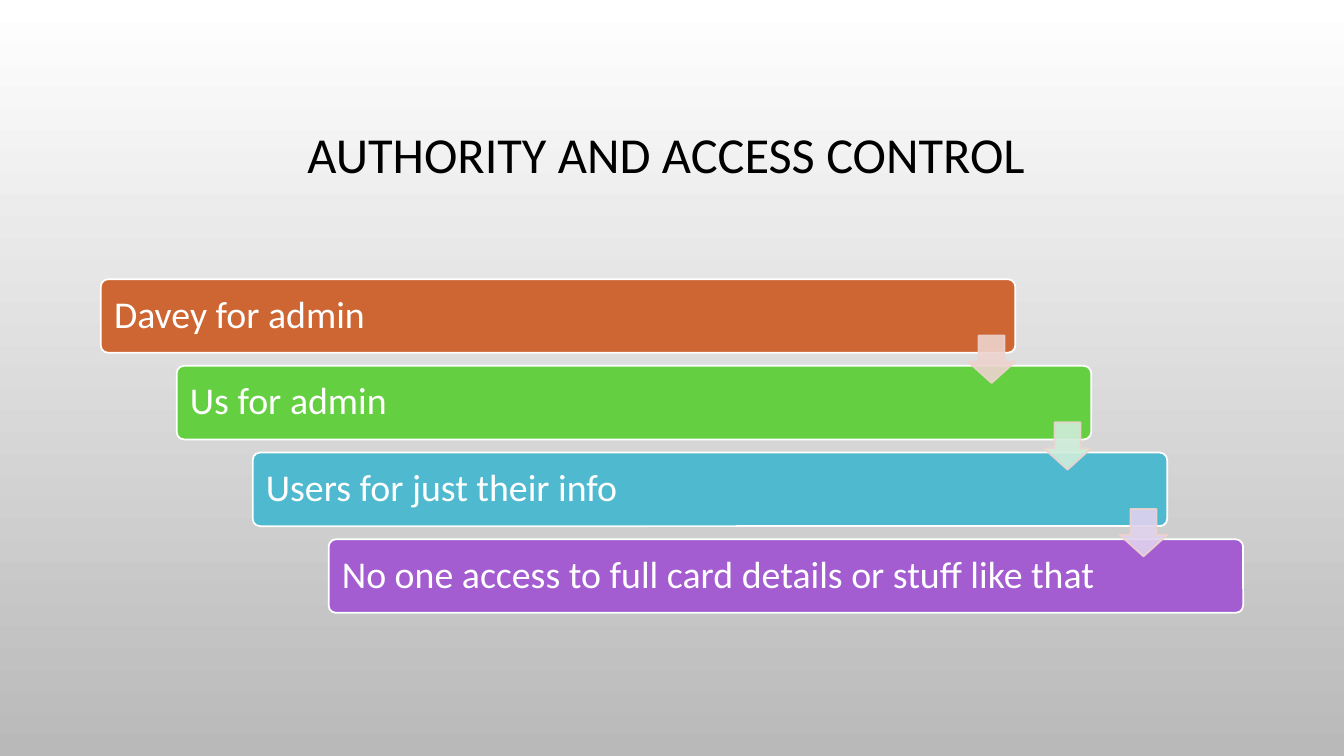
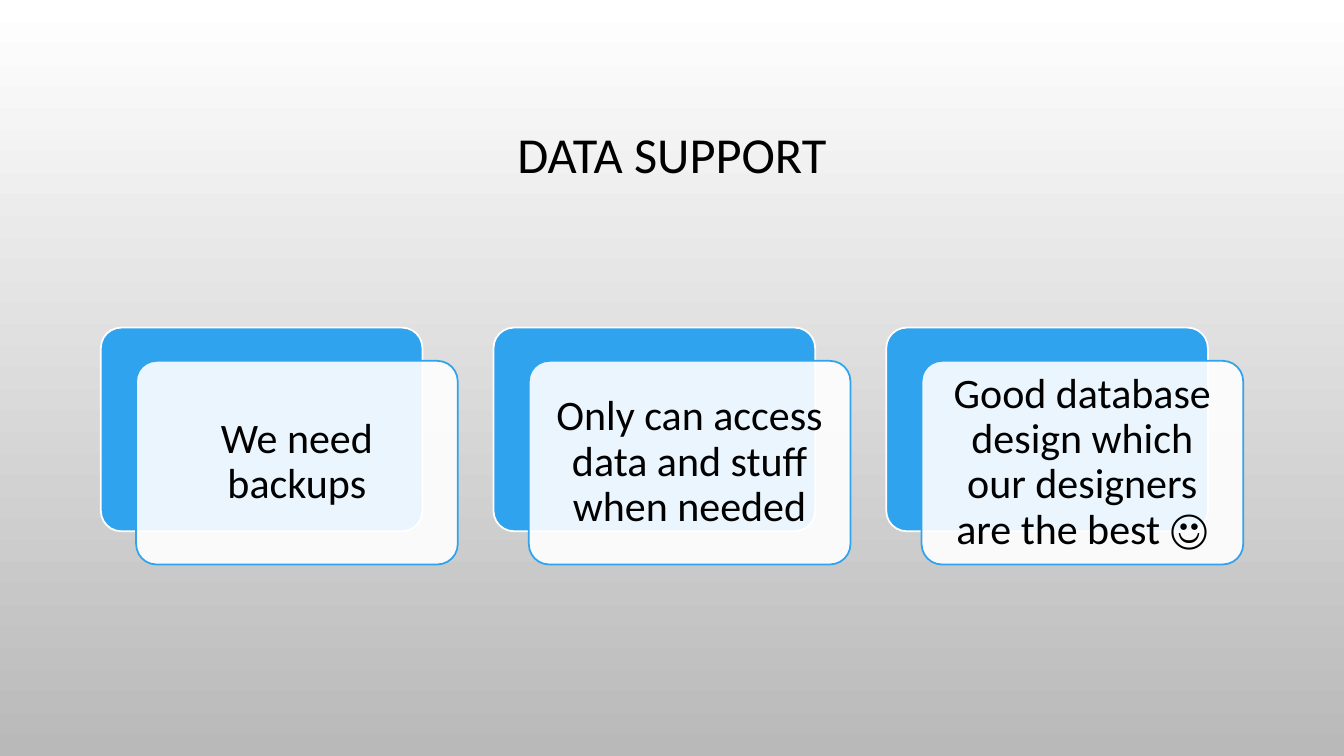
from collections import namedtuple

from lxml.etree import SubElement
from pptx import Presentation
from pptx.dml.color import RGBColor
from pptx.enum.shapes import MSO_SHAPE as Preset
from pptx.enum.text import MSO_ANCHOR as Anchor, PP_ALIGN as Align
from pptx.oxml.ns import qn
from pptx.util import Inches, Pt

Box = namedtuple("Box", "left top width height")

FONT = "Calibri"
COLORS = {
    "white": "FFFFFF", "black": "000000", "gray": "B9B9B9", "blue": "2FA3EE",
    "orange": "CE6633", "green": "64CF41", "teal": "4FB9D0", "purple": "A35DD1",
    "pale_orange": "EDD3CE", "pale_green": "D0EDDA", "pale_purple": "E0D2EE",
}
TITLE_BOX = Box(1, 0.68, 11.33, 1.75)
STAIRS_BOX = Box(1, 2.77, 11.33, 3.31)
CARDS_BOX = Box(1, 3.25, 11.33, 2.35)

STEPS = [
    ("Davey for admin", "orange"),
    ("Us for admin", "green"),
    ("Users for just their info", "teal"),
    ("No one access to full card details or stuff like that", "purple"),
]
ARROW_COLORS = ["pale_orange", "pale_green", "pale_purple"]
CARDS = [
    "We need backups",
    "Only can access data and stuff when needed",
    "Good database design which our designers are the best ☺",
]


def color(name):
    return RGBColor.from_string(COLORS[name])


def set_opacity(fill_parent, percent):
    for tint in fill_parent.iter(qn("a:srgbClr")):
        SubElement(tint, qn("a:alpha")).set("val", str(percent * 1000))


def write(shape, text, size, text_color, align, inset=0.1):
    frame = shape.text_frame
    frame.word_wrap = True
    frame.vertical_anchor = Anchor.MIDDLE
    frame.margin_left = frame.margin_right = Inches(inset)
    frame.margin_top = frame.margin_bottom = Inches(inset)
    para = frame.paragraphs[0]
    para.alignment = align
    para.line_spacing = 0.9
    span = para.add_run()
    span.text = text
    span.font.name = FONT
    span.font.size = Pt(size)
    span.font.color.rgb = color(text_color)


def add_preset(page, preset, box, fill, line, adjustments=(0.1,)):
    shape = page.shapes.add_shape(preset, *map(Inches, box))
    shape.shadow.inherit = False
    shape.fill.solid()
    shape.fill.fore_color.rgb = color(fill)
    shape.line.color.rgb = color(line)
    shape.line.width = Pt(1.25)
    for index, value in enumerate(adjustments):
        shape.adjustments[index] = value
    return shape


def set_background(master):
    fill = master.background.fill
    fill.gradient()
    fill.gradient_angle = 270
    for stop, name in zip(fill.gradient_stops, ("white", "gray")):
        stop.color.rgb = color(name)


def add_page(deck, title_text):
    page = deck.slides.add_slide(deck.slide_layouts.get_by_name("Title Only"))
    title = page.shapes.title
    title.left, title.top, title.width, title.height = map(Inches, TITLE_BOX)
    write(title, title_text, 36, "black", Align.CENTER)
    return page


def add_stairs(page, box):
    bar_width, bar_height, arrow_size = 9.07, 0.73, 0.47
    step_x = (box.width - bar_width) / (len(STEPS) - 1)
    step_y = (box.height - bar_height) / (len(STEPS) - 1)

    # Bars, each one step right and down
    for index, (text, fill) in enumerate(STEPS):
        bar_box = Box(box.left + index * step_x, box.top + index * step_y,
                      bar_width, bar_height)
        bar = add_preset(page, Preset.ROUNDED_RECTANGLE, bar_box, fill, "white")
        write(bar, text, 27, "white", Align.LEFT, 0.11)

    # Arrows from the right end of each bar to the next
    for index, fill in enumerate(ARROW_COLORS):
        arrow_box = Box(box.left + index * step_x + bar_width - arrow_size,
                        box.top + index * step_y + 0.56, arrow_size, arrow_size)
        arrow = add_preset(page, Preset.DOWN_ARROW, arrow_box, fill,
                           "pale_orange", (0.55, 0.45))
        set_opacity(arrow.fill._xPr, 90)


def add_cards(page, box):
    width, height = 3.19, 2.02
    offset_x, offset_y = 0.35, box.height - height
    pitch = (box.width - width - offset_x) / (len(CARDS) - 1)
    for index, text in enumerate(CARDS):
        left = box.left + index * pitch
        # Blue back plate
        add_preset(page, Preset.ROUNDED_RECTANGLE,
                   Box(left, box.top, width, height), "blue", "white")
        # Translucent front plate with the text
        front_box = Box(left + offset_x, box.top + offset_y, width, height)
        front = add_preset(page, Preset.ROUNDED_RECTANGLE, front_box, "white", "blue")
        set_opacity(front.fill._xPr.find(qn("a:solidFill")), 90)
        write(front, text, 30, "black", Align.CENTER, 0.12)


def main():
    deck = Presentation()
    deck.slide_width, deck.slide_height = Inches(13.33), Inches(7.5)
    set_background(deck.slide_master)
    add_stairs(add_page(deck, "AUTHORITY AND ACCESS CONTROL "), STAIRS_BOX)
    add_cards(add_page(deck, "DATA SUPPORT"), CARDS_BOX)
    deck.save("out.pptx")


if __name__ == "__main__":
    main()
